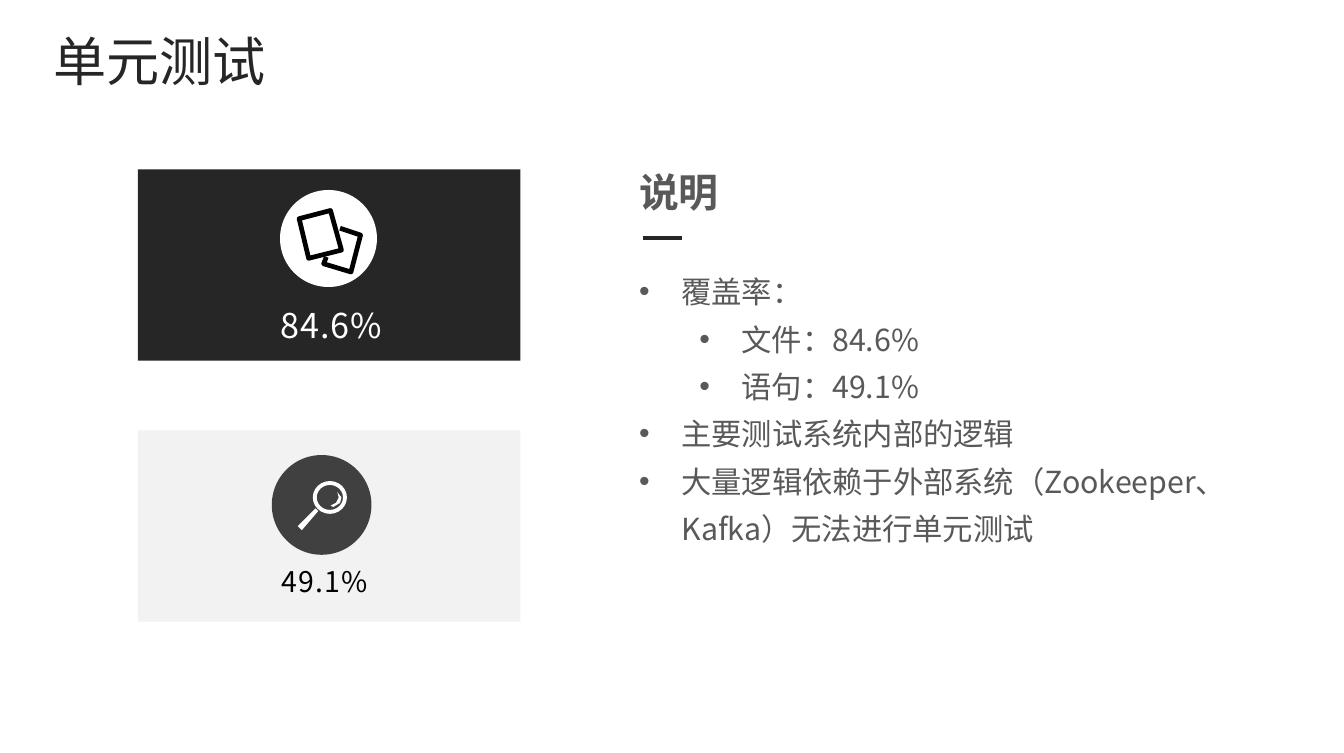
from lxml.etree import SubElement
from pptx import Presentation
from pptx.dml.color import RGBColor
from pptx.enum.shapes import MSO_CONNECTOR as Connector, MSO_SHAPE as Shape
from pptx.enum.text import MSO_ANCHOR as Anchor, MSO_AUTO_SIZE as AutoSize, PP_ALIGN as Align
from pptx.oxml.ns import qn
from pptx.util import Inches, Pt

FONT = "Noto Sans CJK SC"
COLORS = {"ink": "262626", "text": "595959", "disc": "404040",
          "pale": "F2F2F2", "white": "FFFFFF", "black": "000000"}
POINTS = [("覆盖率：", 0), ("文件：84.6%", 1), ("语句：49.1%", 1),
          ("主要测试系统内部的逻辑", 0),
          ("大量逻辑依赖于外部系统（Zookeeper、Kafka）无法进行单元测试", 0)]
INDENTS = [0.31, 0.75]
HANGING = 0.31
FRONT_PAGE = [(0.14, 0.21), (0.37, 0.15), (0.45, 0.44), (0.21, 0.5)]
BACK_PAGE = [(0.44, 0.28), (0.59, 0.33), (0.52, 0.6), (0.32, 0.54), (0.34, 0.49)]
HANDLE = [(0.19, 0.52), (0.22, 0.55), (0.34, 0.41), (0.32, 0.39)]
GLINT = [(0.48, 0.27), (0.49, 0.31), (0.47, 0.35), (0.43, 0.37),
         (0.45, 0.38), (0.5, 0.35), (0.51, 0.31)]


def rgb(color):
    """Return the named palette colour."""
    return RGBColor.from_string(COLORS[color])


def place(part, box):
    """Move a part to a box given in inches."""
    for side, length in zip(("left", "top", "width", "height"), box):
        setattr(part, side, Inches(length))


def paint(shape, fill, line=None, weight=2.5):
    """Give a shape its fill and outline, without shadow."""
    shape.shadow.inherit = False
    shape.fill.solid()
    shape.fill.fore_color.rgb = rgb(fill)
    if line:
        shape.line.color.rgb = rgb(line)
        shape.line.width = Pt(weight)
    else:
        shape.line.fill.background()


def add_preset(slide, kind, box, fill):
    """Add a plain preset shape."""
    shape = slide.shapes.add_shape(kind, *map(Inches, box))
    paint(shape, fill)
    return shape


def add_outline(slide, origin, offsets, fill, line=None, close=True):
    """Draw a polygon from offsets to an origin."""
    left, top = origin
    corners = [(Inches(left + x), Inches(top + y)) for x, y in offsets]
    builder = slide.shapes.build_freeform(*corners[0])
    builder.add_line_segments(corners[1:], close=close)
    paint(builder.convert_to_shape(), fill, line)


def set_frame(frame, insets=(0.07, 0.04)):
    """Set wrapping, anchor and insets of a text frame."""
    across, down = map(Inches, insets)
    values = {"word_wrap": True, "auto_size": AutoSize.NONE,
              "vertical_anchor": Anchor.TOP, "margin_left": across,
              "margin_right": across, "margin_top": down, "margin_bottom": down}
    for name, value in values.items():
        setattr(frame, name, value)


def write(paragraph, text, size, color, bold=False, align=Align.LEFT, spacing=None):
    """Write one formatted run into a paragraph."""
    paragraph.alignment = align
    run = paragraph.add_run()
    run.text = text
    for name, value in {"name": FONT, "size": Pt(size), "bold": bold}.items():
        setattr(run.font, name, value)
    run.font.color.rgb = rgb(color)
    properties = run.font._element
    SubElement(properties, qn("a:ea")).set("typeface", FONT)
    if spacing:
        properties.set("spc", str(round(spacing * 100)))


def add_label(slide, box, text, **format_values):
    """Add a one-line text box."""
    label = slide.shapes.add_textbox(*map(Inches, box))
    set_frame(label.text_frame)
    write(label.text_frame.paragraphs[0], text, **format_values)


def add_title(slide, box):
    """Fill the title placeholder."""
    title = slide.shapes.title
    place(title, box)
    set_frame(title.text_frame, (0.1, 0.05))
    write(title.text_frame.paragraphs[0], "单元测试", 28, "ink")


def draw_pages(slide, origin):
    """Draw two overlapping pages."""
    add_outline(slide, origin, BACK_PAGE, "white", "black", close=False)
    add_outline(slide, origin, FRONT_PAGE, "white", "black")


def draw_magnifier(slide, origin):
    """Draw a magnifying glass."""
    left, top = origin
    lens = add_preset(slide, Shape.DONUT, (left + 0.3, top + 0.19, 0.25, 0.24), "white")
    lens.adjustments[0] = 0.12
    add_outline(slide, origin, HANDLE, "white")
    add_outline(slide, origin, GLINT, "white")


def add_card(slide, box, fill, disc, disc_fill, draw_icon, label, text, size, color):
    """Add a coverage card with icon disc and percentage."""
    left, top = box[:2]
    disc_x, disc_y, diameter = disc
    origin = left + disc_x, top + disc_y
    add_preset(slide, Shape.RECTANGLE, box, fill)
    add_preset(slide, Shape.OVAL, (*origin, diameter, diameter), disc_fill)
    draw_icon(slide, origin)
    label_x, label_y, width, height = label
    add_label(slide, (left + label_x, top + label_y, width, height), text,
              size=size, color=color, align=Align.CENTER, spacing=0.6)


def add_notes_column(slide, box):
    """Add the heading, its short rule and the bullet list."""
    left, top, width, height = box
    add_label(slide, (left, top, 2.23, 0.43), "说明", size=21, color="text", bold=True)
    rule_y = Inches(top + 0.55)
    rule = slide.shapes.add_connector(Connector.STRAIGHT, Inches(left + 0.1), rule_y,
                                      Inches(left + 0.38), rule_y)
    rule.line.color.rgb = rgb("ink")
    rule.line.width = Pt(2.25)
    SubElement(rule._element.spPr, qn("a:effectLst"))

    points = slide.placeholders[1]
    place(points, (left, top + 0.69, width, height - 0.69))
    frame = points.text_frame
    set_frame(frame)
    for index, (text, level) in enumerate(POINTS):
        paragraph = frame.add_paragraph() if index else frame.paragraphs[0]
        values = {"level": level, "line_spacing": 1.3,
                  "space_before": Pt(0), "space_after": Pt(0)}
        for name, value in values.items():
            setattr(paragraph, name, value)
        properties = paragraph._p.get_or_add_pPr()
        properties.set("marL", str(Inches(INDENTS[level])))
        properties.set("indent", str(-Inches(HANGING)))
        SubElement(properties, qn("a:buFont")).set("typeface", "Arial")
        SubElement(properties, qn("a:buChar")).set("char", "•")
        write(paragraph, text, 16, "text")


def main():
    """Build the unit test slide."""
    deck = Presentation()
    deck.slide_width, deck.slide_height = Inches(9.84), Inches(5.51)
    slide = deck.slides.add_slide(deck.slide_layouts[1])
    add_title(slide, (0.29, 0.16, 2.74, 0.57))
    add_card(slide, (1.01, 1.24, 2.8, 1.4), "ink", (1.04, 0.15, 0.71), "white",
             draw_pages, (0.81, 0.95, 1.21, 0.38), "84.6%", 18, "white")
    add_card(slide, (1.01, 3.15, 2.8, 1.4), "pale", (0.98, 0.18, 0.73), "disc",
             draw_magnifier, (0.87, 0.94, 1, 0.33), "49.1%", 15, "black")
    add_notes_column(slide, (4.61, 1.19, 4.49, 2.83))
    deck.save("out.pptx")


if __name__ == "__main__":
    main()
